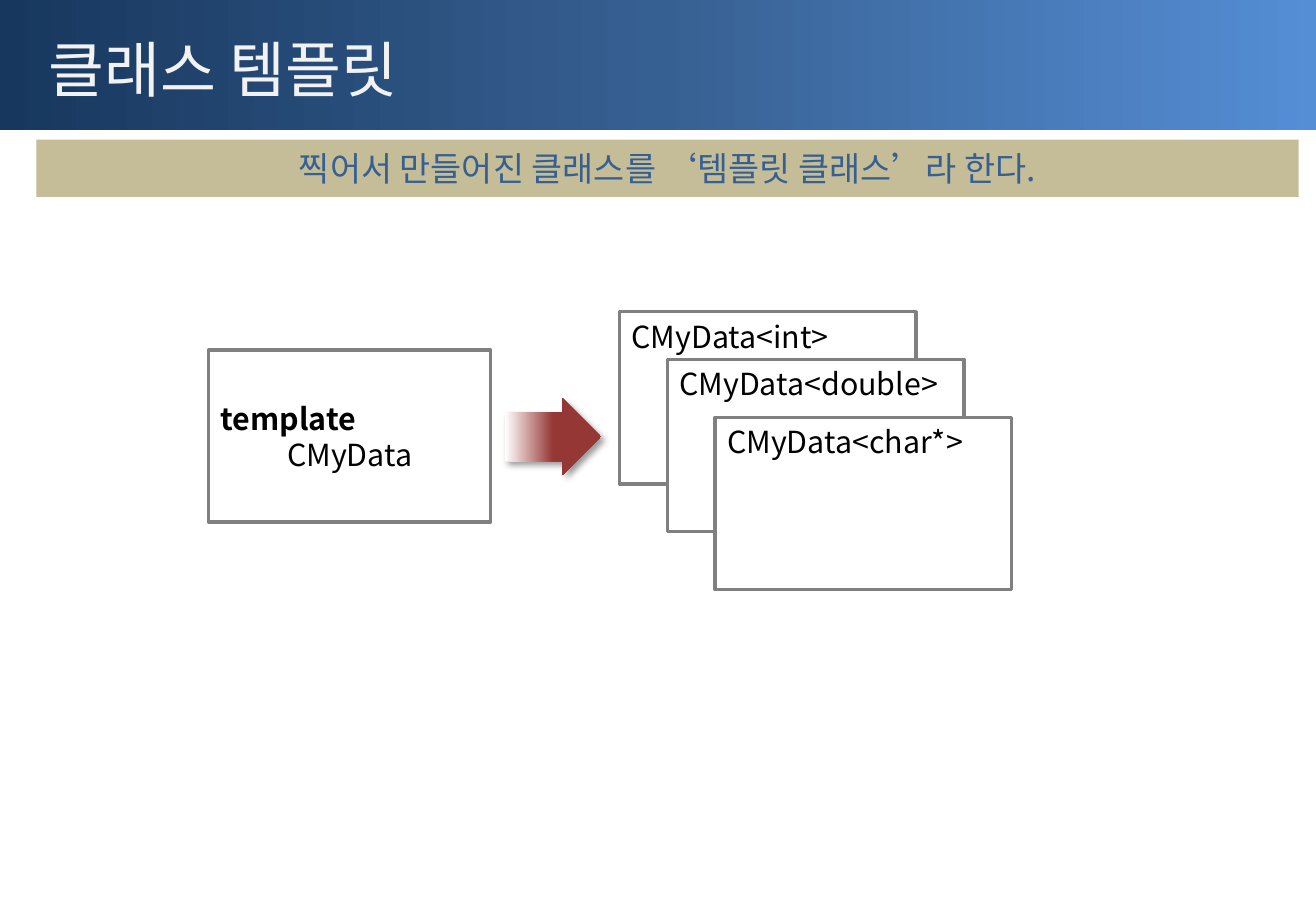
from dataclasses import dataclass

from lxml.etree import SubElement
from pptx import Presentation
from pptx.dml.color import RGBColor
from pptx.enum.shapes import MSO_SHAPE
from pptx.enum.text import MSO_ANCHOR, PP_ALIGN
from pptx.oxml.ns import qn
from pptx.util import Cm, Pt


@dataclass(frozen=True)
class Theme:
    font: str = "Noto Sans CJK KR"
    header: tuple = ((0, "17375E"), (50, "376092"), (100, "558ED5"))
    arrow: tuple = ((0, "FFFFFF"), (50, "953735"), (100, "953735"))
    title: str = "F2F2F2"
    banner: str = "C4BD97"
    banner_text: str = "376092"
    box: str = "FFFFFF"
    border: str = "808080"
    text: str = "000000"
    title_size: int = 36
    banner_size: int = 20
    body_size: int = 18
    border_width: int = 2


def apply(target, values):
    for name, value in values.items():
        setattr(target, name, value)


class SlideBuilder:
    def __init__(self, page, theme):
        self.page = page
        self.theme = theme

    def shape(self, kind, place, fill=None, border=None):
        shape = self.page.shapes.add_shape(kind, *map(Cm, place))
        shape.shadow.inherit = False
        if isinstance(fill, tuple):
            self.gradient(shape, fill)
        elif fill:
            shape.fill.solid()
            shape.fill.fore_color.rgb = RGBColor.from_string(fill)
        else:
            shape.fill.background()
        if border:
            shape.line.color.rgb = RGBColor.from_string(border)
            shape.line.width = Pt(self.theme.border_width)
        else:
            shape.line.fill.background()
        return shape

    def gradient(self, shape, colours):
        shape.fill.gradient()
        shape.fill.gradient_angle = 0
        stops = shape._element.spPr.find(qn("a:gradFill")).find(qn("a:gsLst"))
        stops.clear()
        for percent, colour in colours:
            stop = SubElement(stops, qn("a:gs"), pos=str(percent * 1000))
            SubElement(stop, qn("a:srgbClr"), val=colour)

    def text(self, shape, lines, size, colour, anchor=MSO_ANCHOR.MIDDLE):
        frame = shape.text_frame
        apply(frame, {"word_wrap": True, "vertical_anchor": anchor})
        for index, (words, align, bold) in enumerate(lines):
            para = frame.add_paragraph() if index else frame.paragraphs[0]
            para.alignment = align
            span = para.add_run()
            span.text = words
            apply(span.font, {"name": self.theme.font, "size": Pt(size), "bold": bold})
            span.font.color.rgb = RGBColor.from_string(colour)
            SubElement(span.font._element, qn("a:ea"), typeface=self.theme.font)

    def title(self, place, words):
        box = self.page.shapes.add_textbox(*map(Cm, place))
        self.text(box, [(words, PP_ALIGN.LEFT, False)], self.theme.title_size, self.theme.title)

    def banner(self, place, words):
        bar = self.shape(MSO_SHAPE.RECTANGLE, place, self.theme.banner)
        self.text(bar, [(words, PP_ALIGN.CENTER, False)],
                  self.theme.banner_size, self.theme.banner_text)

    def class_box(self, place, lines, fill=None, anchor=MSO_ANCHOR.MIDDLE):
        box = self.shape(MSO_SHAPE.RECTANGLE, place, fill, self.theme.border)
        self.text(box, lines, self.theme.body_size, self.theme.text, anchor)

    def arrow(self, place):
        arrow = self.shape(MSO_SHAPE.RIGHT_ARROW, place, self.theme.arrow)
        arrow.adjustments[0] = 0.64
        effects = arrow._element.spPr.find(qn("a:effectLst"))
        shadow = SubElement(effects, qn("a:outerShdw"), blurRad=str(Pt(4)),
                            dist=str(Pt(3)), dir=str(45 * 60000), rotWithShape="0")
        colour = SubElement(shadow, qn("a:srgbClr"), val=self.theme.text)
        SubElement(colour, qn("a:alpha"), val="40000")


deck = Presentation()
apply(deck, {"slide_width": Cm(27.51), "slide_height": Cm(19.05)})
theme = Theme()
builder = SlideBuilder(deck.slides.add_slide(deck.slide_layouts[6]), theme)

builder.shape(MSO_SHAPE.RECTANGLE, (0, 0, 27.51, 2.72), theme.header)
builder.title((0.76, 0.33, 26.39, 2.21), "클래스 템플릿")
builder.banner((0.76, 2.92, 26.39, 1.2), "찍어서 만들어진 클래스를 ‘템플릿 클래스’라 한다.")

builder.class_box((4.36, 7.32, 5.9, 3.6), [
    ("template", PP_ALIGN.LEFT, True),
    ("CMyData", PP_ALIGN.CENTER, False),
])

stack_left, stack_step = 12.95, 1
instances = (("int", 6.52), ("double", 7.52), ("char*", 8.73))
for index, (type_name, top) in enumerate(instances):
    builder.class_box((stack_left + index * stack_step, top, 6.2, 3.6),
                      [(f"CMyData<{type_name}>", PP_ALIGN.LEFT, False)],
                      theme.box, MSO_ANCHOR.TOP)

builder.arrow((10.56, 8.33, 2, 1.6))

deck.save("out.pptx")
